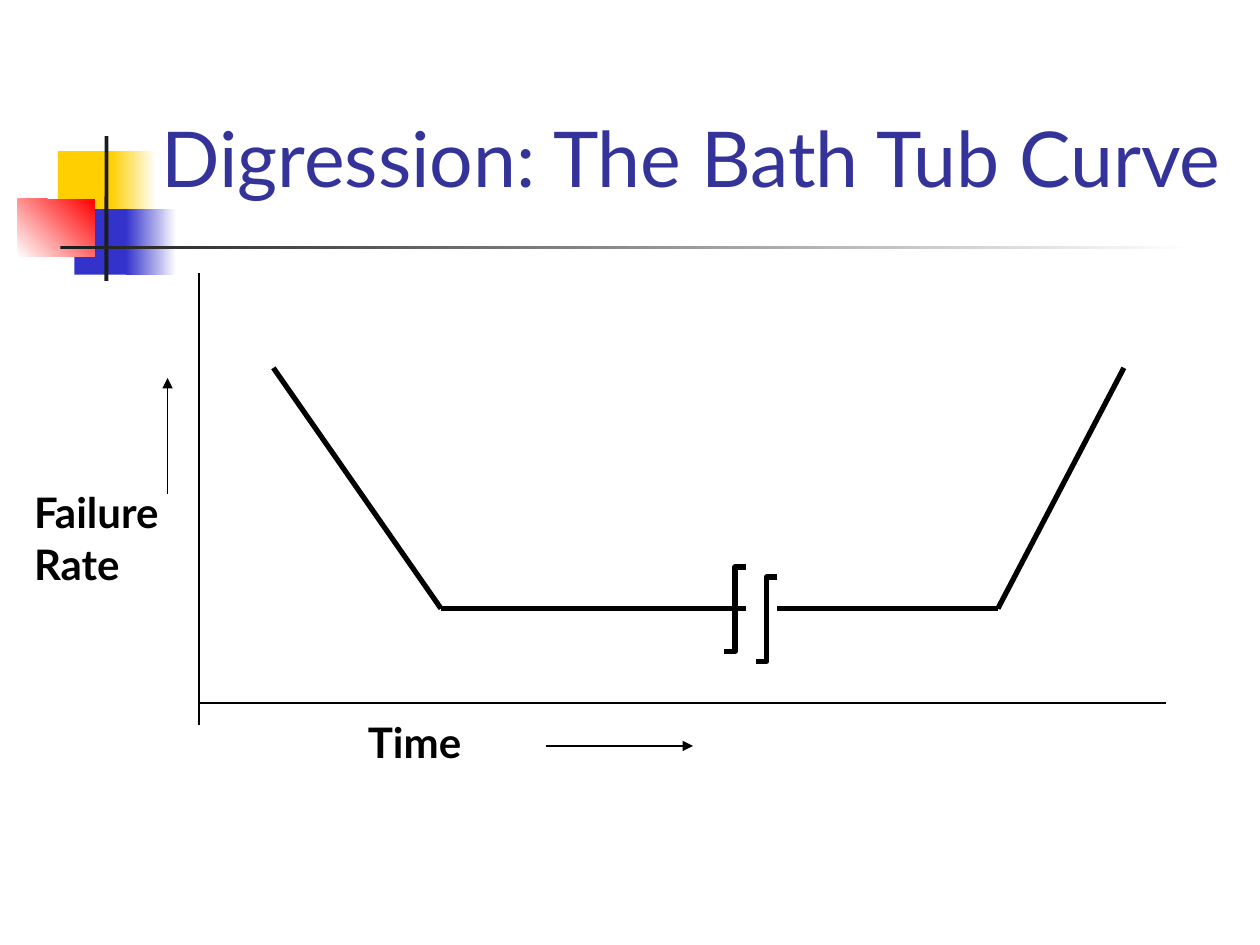
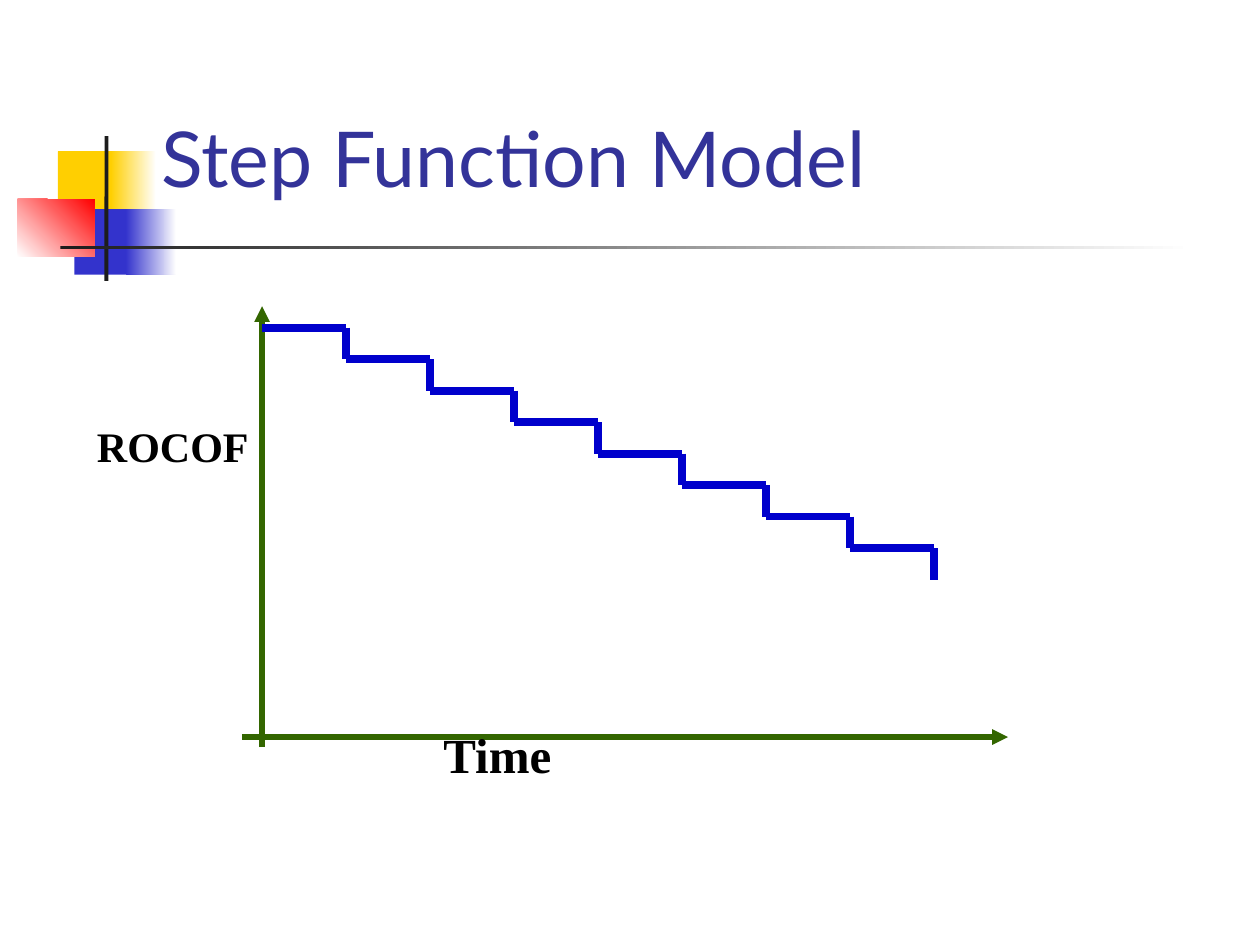
from itertools import pairwise

from pptx import Presentation
from pptx.dml.color import RGBColor
from pptx.enum import shapes, text
from pptx.oxml import parse_xml
from pptx.oxml.ns import nsdecls
from pptx.util import Inches, Pt

BLACK, WHITE, CHARCOAL = "000000", "FFFFFF", "1C1C1C"
YELLOW, BLUE, RED = "FFCF01", "3333CC", "FF0000"
TITLE_BLUE, AXIS_GREEN, STEP_BLUE = "333399", "336600", "0000CC"
SANS, SERIF = "Lato", "Times New Roman"

# left, top, width, height, corner, colours, gradient angle
MOTIF = [
    (0.46, 1.2, 0.48, 0.52, 0.004, [YELLOW], 0),
    (0.88, 1.2, 0.36, 0.52, 0.005, [YELLOW, WHITE], 0),
    (0.59, 1.66, 0.46, 0.52, 0.004, [BLUE], 0),
    (1, 1.66, 0.4, 0.52, 0.004, [BLUE, WHITE], 0),
    (0.14, 1.58, 0.61, 0.46, 0.004, [WHITE, RED], 45),
    (0.83, 1.08, 0.03, 1.15, 0.05, [CHARCOAL], 0),
    (0.48, 1.95, 8.99, 0.03, 0.05, [CHARCOAL, WHITE], 0),
]


def rgb(color):
    return RGBColor.from_string(color)


def add_block(s, left, top, width, height, corner, colors, angle):
    """Draw a borderless block, plain or with a two-colour gradient."""
    sp = s.shapes.add_shape(shapes.MSO_SHAPE.ROUNDED_RECTANGLE, Inches(left),
                            Inches(top), Inches(width), Inches(height))
    sp.adjustments[0] = corner
    sp.shadow.inherit = False
    sp.line.fill.background()
    if len(colors) == 1:
        sp.fill.solid()
        sp.fill.fore_color.rgb = rgb(colors[0])
        return
    sp.fill.gradient()
    sp.fill.gradient_angle = angle
    for stop, color in zip(sp.fill.gradient_stops, colors):
        stop.color.rgb = rgb(color)


def add_text(s, lines, left, top, width, height, size, before,
             font=SANS, color=BLACK, bold=True):
    """Add a text box with one paragraph per line and return its frame."""
    sp = s.shapes.add_textbox(Inches(left), Inches(top),
                              Inches(width), Inches(height))
    tf = sp.text_frame
    tf.word_wrap = True
    tf.margin_left = tf.margin_right = Inches(0.02)
    tf.margin_top = tf.margin_bottom = Inches(0.05)
    for i, line in enumerate(lines):
        p = tf.add_paragraph() if i else tf.paragraphs[0]
        p.line_spacing = 0.85
        p.space_before = Pt(before)
        r = p.add_run()
        r.text = line
        r.font.name = font
        r.font.size = Pt(size)
        r.font.bold = bold
        r.font.color.rgb = rgb(color)
    return tf


def add_line(s, start, end, color=BLACK, width=0.75, arrow=False,
             kind=shapes.MSO_CONNECTOR.STRAIGHT):
    """Join two points; an arrow points at the end."""
    line = s.shapes.add_connector(kind, *map(Inches, start + end))
    line.line.color.rgb = rgb(color)
    line.line.width = Pt(width)
    if arrow:
        line.line._get_or_add_ln().append(
            parse_xml(f'<a:tailEnd {nsdecls("a")} type="triangle"/>'))
    line._element.spPr.append(parse_xml(f'<a:effectLst {nsdecls("a")}/>'))


def add_path(s, points, color, width):
    for start, end in pairwise(points):
        add_line(s, start, end, color, width)


def add_titled_slide(prs, title, top, height):
    s = prs.slides.add_slide(prs.slide_layouts[6])
    for block in MOTIF:
        add_block(s, *block)
    tf = add_text(s, [title], 1.26, top, 8.52, height, 44, 5.4,
                  color=TITLE_BLUE, bold=False)
    tf.vertical_anchor = text.MSO_ANCHOR.MIDDLE
    pPr = tf.paragraphs[0]._p.get_or_add_pPr()
    pPr.set("marL", str(Inches(0.38)))
    pPr.set("indent", str(-Inches(0.38)))
    return s


def build_bath_tub(prs):
    s = add_titled_slide(prs, "Digression: The Bath Tub Curve", 0.53, 1.54)
    add_path(s, [(2.17, 2.92), (3.5, 4.83), (5.92, 4.83)], BLACK, 3)
    for right, top in [(5.92, 4.5), (6.17, 4.58)]:
        add_line(s, (right, top), (right - 0.17, top + 0.67), width=3,
                 kind=shapes.MSO_CONNECTOR.ELBOW)
    add_path(s, [(6.17, 4.83), (7.92, 4.83), (8.92, 2.92)], BLACK, 3)

    add_line(s, (1.58, 5.58), (9.25, 5.58))
    add_line(s, (1.58, 5.75), (1.58, 2.17))
    add_text(s, ["Time"], 2.9, 5.7, 1.02, 0.5, 24, 5.6)
    add_line(s, (4.33, 5.92), (5.5, 5.92), arrow=True)
    add_text(s, ["Failure", "Rate"], 0.25, 3.87, 1.35, 0.97, 24, 5.6)
    add_line(s, (1.33, 3.92), (1.33, 3), arrow=True)


def build_step_function(prs):
    s = add_titled_slide(prs, "Step Function Model", 0.68, 1.25)
    add_line(s, (2.08, 5.93), (2.08, 2.43), AXIS_GREEN, 3, arrow=True)
    add_line(s, (1.92, 5.85), (8, 5.85), AXIS_GREEN, 3, arrow=True)

    steps, left, top, run, drop = 8, 2.08, 2.6, 2 / 3, 0.25
    # Each half step moves either across or down.
    corners = [(left + (i + 1) // 2 * run, top + i // 2 * drop)
               for i in range(2 * steps + 1)]
    add_path(s, corners, STEP_BLUE, 4.5)

    add_text(s, ["ROCOF"], 0.75, 3.35, 1.66, 0.5, 24, 13.8, SERIF)
    add_text(s, ["Time"], 3.5, 5.77, 1.16, 0.57, 28, 16, SERIF)


def main():
    prs = Presentation()
    prs.slide_width, prs.slide_height = Inches(10), Inches(7.5)
    build_bath_tub(prs)
    build_step_function(prs)
    prs.save("out.pptx")


if __name__ == "__main__":
    main()
